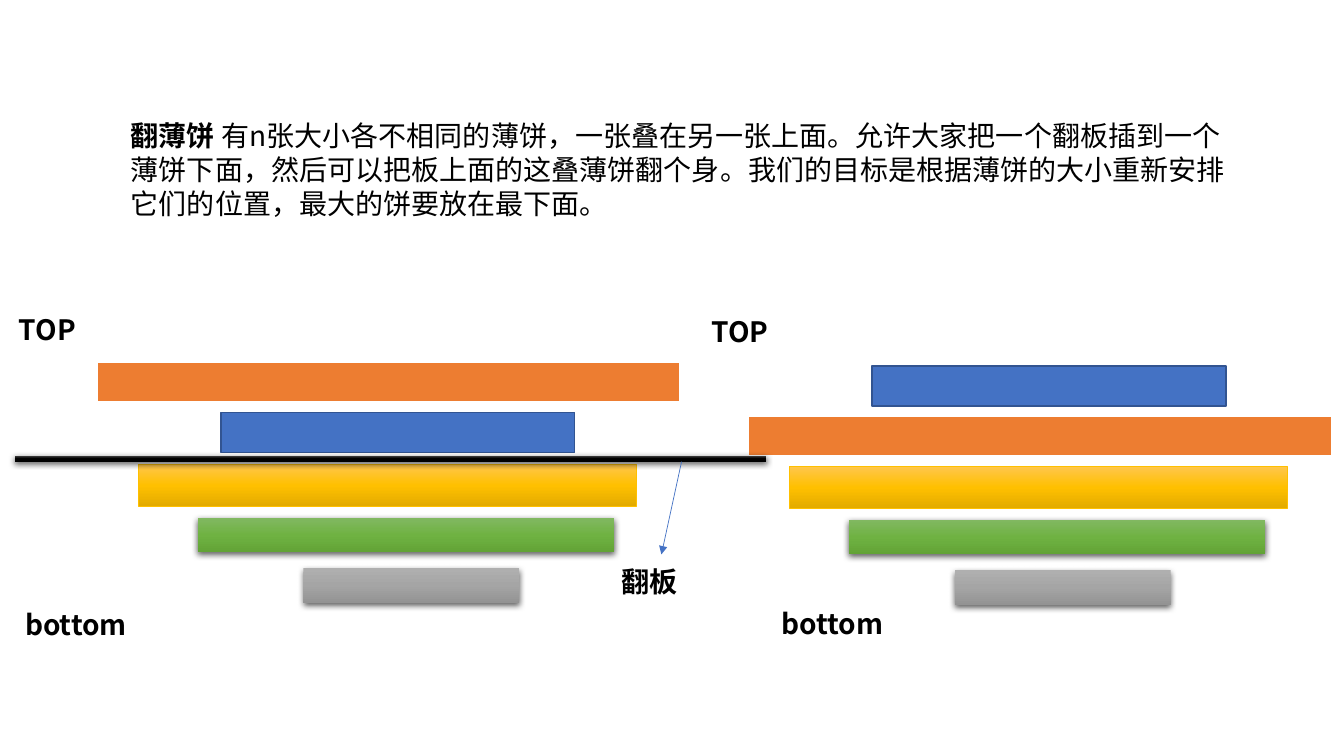
from lxml.etree import SubElement as Sub
from pptx import Presentation
from pptx.dml.color import RGBColor as Rgb
from pptx.enum.shapes import MSO_CONNECTOR as Line, MSO_SHAPE as Shape
from pptx.enum.text import MSO_AUTO_SIZE as Fit
from pptx.oxml.ns import qn
from pptx.util import Inches, Pt

FONT = "Noto Sans CJK SC"
COLORS = {
    "black": "000000", "white": "FFFFFF", "orange": "ED7D31",
    "blue": "4472C4", "navy": "325491", "gold": "FFC000",
}
FADES = {
    "gold": ("FFC64B", "FFC000", "E3AB00"),
    "green": ("81B861", "6FB242", "62A336"),
    "gray": ("AFAFAF", "A5A5A5", "939393"),
    "black": ("4B4B4B", "000000", "000000"),
}
# name: left edge in the first stack, width, height, line colour, line width
CAKES = {
    "orange": (0.96, 5.79, 0.4, "white", 1.5),
    "blue": (2.19, 3.51, 0.4, "navy", 1),
    "gold": (1.37, 4.94, 0.41, "gold", 0.5),
    "green": (1.96, 4.13, 0.34, None, 0),
    "gray": (3.01, 2.14, 0.34, None, 0),
}
SHIFT = 6.46
INTRO = (
    "有n张大小各不相同的薄饼，一张叠在另一张上面。"
    "允许大家把一个翻板插到一个薄饼下面，然后可以把板上面的这叠薄饼翻个身。"
    "我们的目标是根据薄饼的大小重新安排它们的位置，最大的饼要放在最下面。"
)


def color(name):
    return Rgb.from_string(COLORS[name])


def add_text(slide, box, *runs):
    """Add a text box from (text, bold) runs."""
    frame = slide.shapes.add_textbox(*map(Inches, box)).text_frame
    frame.word_wrap = True
    frame.auto_size = Fit.SHAPE_TO_FIT_TEXT
    for text, bold in runs:
        run = frame.paragraphs[0].add_run()
        run.text = text
        font = run.font
        font.size, font.bold, font.name = Pt(20), bold, FONT
        font.color.rgb = color("black")
        Sub(font._element, qn("a:ea"), typeface=FONT)


def fade(shape, hues):
    """Fill from top to bottom with evenly spaced colours."""
    shape.fill.gradient()
    shape.fill.gradient_angle = 270
    stops = shape._element.spPr.find(qn("a:gradFill")).find(qn("a:gsLst"))
    for stop in list(stops):
        stops.remove(stop)
    for i, hue in enumerate(hues):
        stop = Sub(stops, qn("a:gs"), pos=str(i * 50000))
        Sub(stop, qn("a:srgbClr"), val=hue)


def cast(shape):
    """Add a soft shadow below the shape."""
    effects = shape._element.spPr.find(qn("a:effectLst"))
    shade = Sub(effects, qn("a:outerShdw"), blurRad=str(Pt(4.5)),
                dist=str(Pt(1.5)), dir="5400000", algn="ctr", rotWithShape="0")
    hue = Sub(shade, qn("a:srgbClr"), val=COLORS["black"])
    Sub(hue, qn("a:alpha"), val="63000")


def add_bar(slide, box, name, edge=None, width=0):
    """Add a bar, with an outline or else with a shadow."""
    bar = slide.shapes.add_shape(Shape.RECTANGLE, *map(Inches, box))
    bar.shadow.inherit = False
    if name in FADES:
        fade(bar, FADES[name])
    else:
        bar.fill.solid()
        bar.fill.fore_color.rgb = color(name)
    if edge:
        bar.line.color.rgb = color(edge)
        bar.line.width = Pt(width)
    else:
        bar.line.fill.background()
        cast(bar)


def add_stack(slide, shift, tops):
    for name, top in tops.items():
        left, width, height, edge, weight = CAKES[name]
        add_bar(slide, (left + shift, top, width, height), name, edge, weight)


def add_arrow(slide, start, end):
    arrow = slide.shapes.add_connector(
        Line.STRAIGHT, *map(Inches, (*start, *end)))
    arrow.line.color.rgb = color("blue")
    arrow.line.width = Pt(0.5)
    Sub(arrow.line._get_or_add_ln(), qn("a:tailEnd"), type="triangle")
    Sub(arrow._element.spPr, qn("a:effectLst"))


def main():
    deck = Presentation()
    deck.slide_width, deck.slide_height = Inches(13.33), Inches(7.5)
    slide = deck.slides.add_slide(deck.slide_layouts[6])

    add_text(slide, (1.2, 1.13, 11.19, 1.11), ("翻薄饼 ", True), (INTRO, False))
    add_stack(slide, 0, {"green": 5.14, "gold": 4.61, "orange": 3.59,
                         "blue": 4.09, "gray": 5.64})
    add_stack(slide, SHIFT, {"green": 5.16, "gold": 4.63, "orange": 4.13,
                             "blue": 3.63, "gray": 5.66})
    add_bar(slide, (0.15, 4.52, 7.45, 0.06), "black")
    add_arrow(slide, (6.76, 4.58), (6.56, 5.5))

    for text, left, top, width in (
        ("TOP", 0.09, 3.05, 1.03),
        ("bottom", 0.15, 5.98, 1.53),
        ("TOP", 6.96, 3.07, 1.03),
        ("bottom", 7.65, 5.97, 1.53),
        ("翻板", 6.07, 5.55, 1.53),
    ):
        add_text(slide, (left, top, width, 0.44), (text, True))

    deck.save("out.pptx")


if __name__ == "__main__":
    main()
